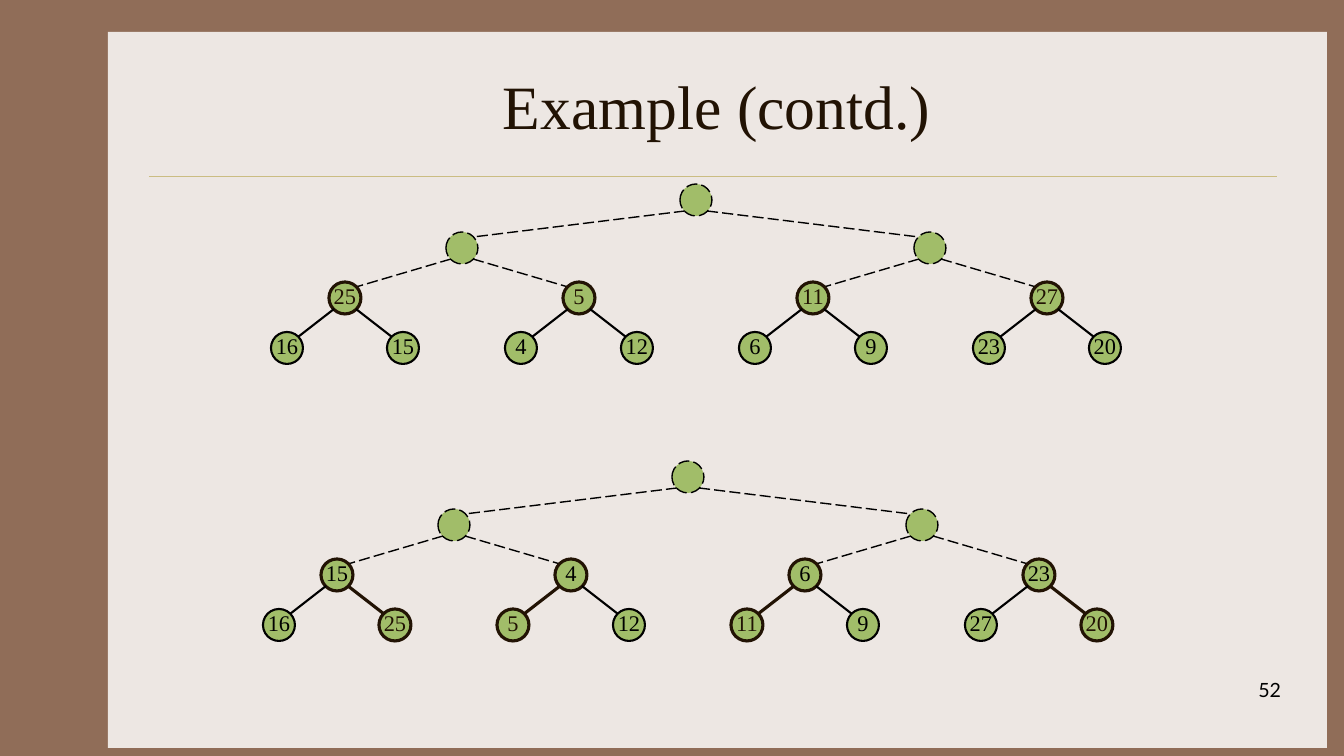
import pptx
import pptx.util
import pptx.dml.color
import pptx.enum.dml
import pptx.enum.shapes
import pptx.enum.text
import pptx.oxml.ns
import lxml.etree

COLORS = {
    "frame": "906D58",
    "panel": "EDE7E3",
    "rule": "CBBD83",
    "node": "A1BD69",
    "brown": "221304",
    "black": "000000",
}
ALIGN = pptx.enum.text.PP_ALIGN
ANCHOR = pptx.enum.text.MSO_ANCHOR
SHAPE = pptx.enum.shapes.MSO_SHAPE

RADIUS = 16
TOUCH = 11
LEVELS = (0, 48, 98, 148)
SPREADS = (234, 117, 58)

TREES = [
    (696, 200, [(25, 16, 15, 25), (5, 4, 12, 5), (11, 6, 9, 11), (27, 23, 20, 27)]),
    (688, 477, [(15, 16, 25, 25), (4, 5, 12, 5), (6, 11, 9, 11), (23, 27, 20, 20)]),
]


class Deck:
    """Draws styled elements on the current slide in pixel units."""

    def __init__(self, width, height):
        self.prs = pptx.Presentation()
        self.prs.slide_width = self.px(width)
        self.prs.slide_height = self.px(height)
        self.s = self.prs.slides.add_slide(self.prs.slide_layouts[6])
        self.paint(self.s.background.fill, "frame")

    def px(self, n):
        return pptx.util.Emu(round(n * 914400 / 100.8))

    def box(self, *lengths):
        return [self.px(n) for n in lengths]

    def rgb(self, color):
        return pptx.dml.color.RGBColor.from_string(COLORS[color])

    def paint(self, fill, color):
        fill.solid()
        fill.fore_color.rgb = self.rgb(color)

    def stroke(self, line, color, width, dashed=False):
        line.color.rgb = self.rgb(color)
        line.width = pptx.util.Pt(width)
        if dashed:
            line.dash_style = pptx.enum.dml.MSO_LINE.LONG_DASH

    def label(self, tf, text, size, font, color, align):
        p = tf.paragraphs[0]
        p.text = text
        p.alignment = align
        p.font.size = pptx.util.Pt(size)
        p.font.name = font
        p.font.color.rgb = self.rgb(color)

    def panel(self, x, y, w, h):
        sp = self.s.shapes.add_shape(SHAPE.RECTANGLE, *self.box(x, y, w, h))
        sp.shadow.inherit = False
        self.paint(sp.fill, "panel")
        sp.line.fill.background()

    def text(self, x, y, w, h, text, size, font, color, align, anchor):
        tf = self.s.shapes.add_textbox(*self.box(x, y, w, h)).text_frame
        tf.word_wrap = True
        tf.vertical_anchor = anchor
        self.label(tf, text, size, font, color, align)

    def line(self, x1, y1, x2, y2, color, width, dashed=False):
        kind = pptx.enum.shapes.MSO_CONNECTOR.STRAIGHT
        c = self.s.shapes.add_connector(kind, *self.box(x1, y1, x2, y2))
        self.stroke(c.line, color, width, dashed)
        lxml.etree.SubElement(c._element.spPr, pptx.oxml.ns.qn("a:effectLst"))

    def edge(self, parent, child, color, width, dashed=False):
        (x1, y1), (x2, y2) = parent, child
        dx = TOUCH if x2 > x1 else -TOUCH
        self.line(x1 + dx, y1 + TOUCH, x2 - dx, y2 - TOUCH, color, width, dashed)

    def node(self, center, color, width, key=None, ink="black"):
        x, y = center
        sp = self.s.shapes.add_shape(
            SHAPE.OVAL, *self.box(x - RADIUS, y - RADIUS, 2 * RADIUS, 2 * RADIUS))
        sp.shadow.inherit = False
        self.paint(sp.fill, "node")
        self.stroke(sp.line, color, width, dashed=key is None)
        if key is not None:
            tf = sp.text_frame
            tf.word_wrap = False
            tf.vertical_anchor = ANCHOR.MIDDLE
            tf.margin_left = tf.margin_right = tf.margin_top = 0
            tf.margin_bottom = self.px(5)
            self.label(tf, str(key), 16, "Times New Roman", ink, ALIGN.CENTER)

    def heap(self, top, keys):
        root, left, right, moved = keys
        x, y = top
        leaf_y = y + LEVELS[3] - LEVELS[2]
        self.node(top, "brown", 2.25, root, "brown" if root == moved else "black")
        for side, key in ((-1, left), (1, right)):
            leaf = (x + side * SPREADS[2], leaf_y)
            color, width = ("brown", 2.25) if key == moved else ("black", 1.5)
            self.edge(top, leaf, color, width)
            self.node(leaf, color, width, key, color)

    def tree(self, x, y, heaps):
        root = (x, y)
        self.node(root, "black", 1)
        remaining = iter(heaps)
        for side in (-1, 1):
            middle = (x + side * SPREADS[0], y + LEVELS[1])
            self.edge(root, middle, "black", 1, dashed=True)
            self.node(middle, "black", 1)
            for turn in (-1, 1):
                top = (middle[0] + turn * SPREADS[1], y + LEVELS[2])
                self.edge(middle, top, "black", 1, dashed=True)
                self.heap(top, next(remaining))


def main():
    deck = Deck(1344, 756)
    deck.panel(108, 32, 1219, 716)
    deck.line(149, 176, 1277, 176, "rule", 0.25)
    deck.text(157, 42, 1120, 126, "Example (contd.)", 44, "Times New Roman",
              "brown", ALIGN.CENTER, ANCHOR.MIDDLE)
    deck.text(1011, 673, 280, 50, "52", 14, "Lato", "black",
              ALIGN.RIGHT, ANCHOR.TOP)
    for x, y, heaps in TREES:
        deck.tree(x, y, heaps)
    deck.prs.save("out.pptx")


if __name__ == "__main__":
    main()
